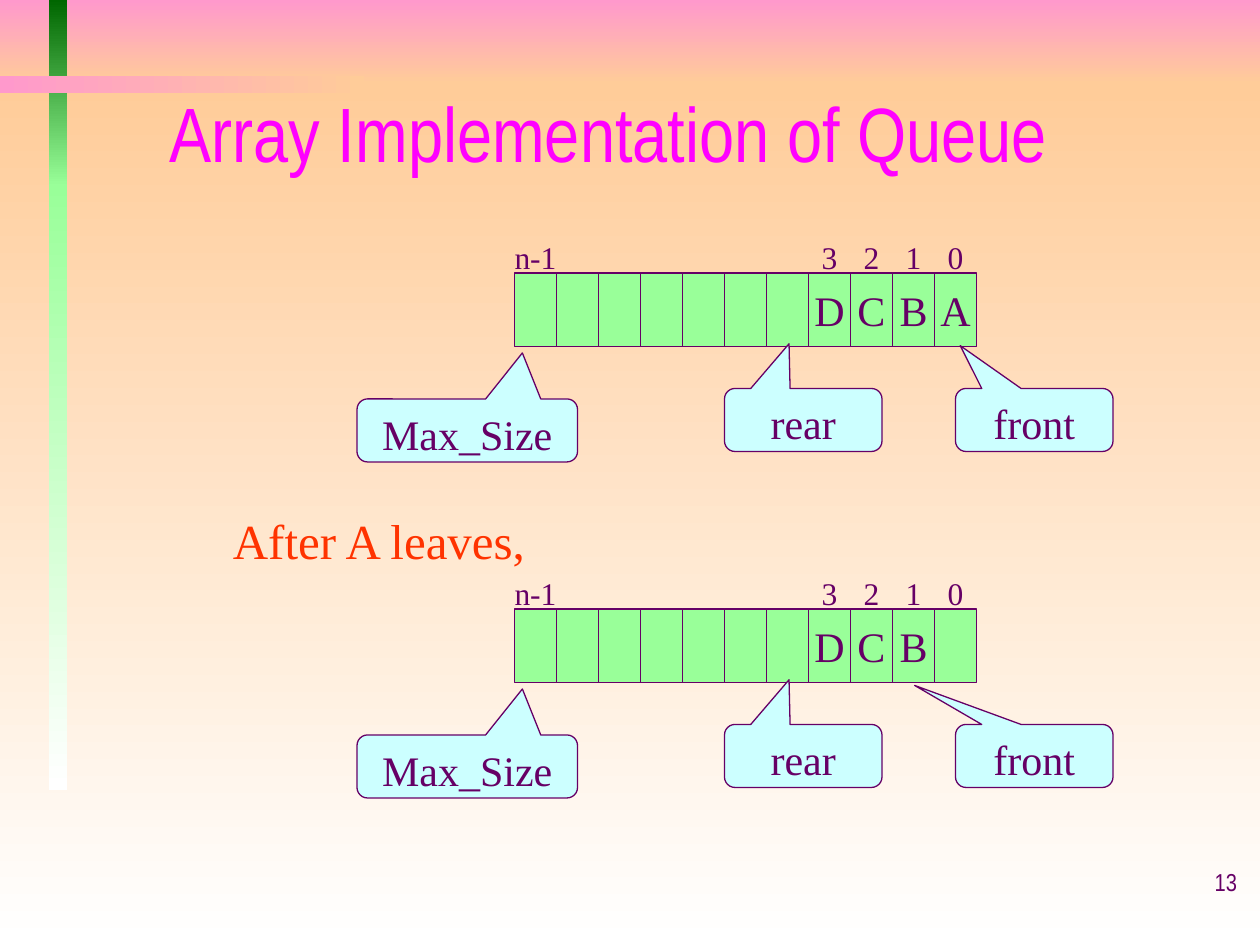
import pptx
import pptx.util
import pptx.dml.color
import pptx.enum.shapes
import pptx.enum.text

KIND = pptx.enum.shapes.MSO_SHAPE
ALIGN = pptx.enum.text.PP_ALIGN
ANCHOR = pptx.enum.text.MSO_ANCHOR

THEME = {
    "ink": "660066", "title": "FF00FF", "note": "FF3300",
    "cell": "99FF99", "call": "CCFFFF",
    "pink": "FF99CC", "peach": "FFCC99", "white": "FFFFFF", "green": "006600",
    "serif": "Times New Roman", "sans": "Arial Narrow",
    "huge": 44, "big": 28, "mid": 24, "small": 18, "tiny": 14, "line": 0.75,
}

# All places are in grid units: the slide is 120 columns by 90 rows.
COLS, ROWS = 120, 90
UNIT = pptx.util.Inches(10) / COLS

# box, first colour, last colour, angle
BANDS = [
    ((0, 0, 120, 8), "pink", "peach", 270),
    ((0, 8, 120, 82), "peach", "white", 270),
    ((4.67, 0, 1.7, 17.75), "green", "cell", 270),
    ((4.67, 17.5, 1.7, 57.75), "cell", "white", 270),
    ((0, 7.25, 34.67, 1.63), "pink", "peach", 0),
]
SLOTS = ["n-1", "", "", "", "", "", "", "3", "2", "1", "0"]
# top row, cell contents by slot, tip of the "front" callout
QUEUES = [
    (26, {"3": "D", "2": "C", "1": "B", "0": "A"}, (-0.47, -1.18)),
    (58, {"3": "D", "2": "C", "1": "B"}, (-0.76, -1.12)),
]
LEFT, WIDE, HIGH, HEAD = 49, 4, 7, 3
# text, left column, rows below the queue's top, width, tip
CALLS = [
    ("Max_Size", 34, 12, 21, (0.25, -1.23)),
    ("rear", 69, 11, 15, (-0.09, -1.21)),
    ("front", 91, 11, 15, None),
]


def tint(name):
    return pptx.dml.color.RGBColor.from_string(THEME[name])


def place(box):
    return [round(n * UNIT) for n in box]


def write(shape, text, size="mid", font="serif", color="ink",
          align=ALIGN.CENTER, anchor=ANCHOR.MIDDLE, wrap=False):
    frame = shape.text_frame
    frame.word_wrap = wrap
    frame.vertical_anchor = anchor
    para = frame.paragraphs[0]
    para.alignment = align
    run = para.add_run()
    run.text = text
    run.font.size = pptx.util.Pt(THEME[size])
    run.font.name = THEME[font]
    run.font.color.rgb = tint(color)


def label(slide, box, text, **form):
    write(slide.shapes.add_textbox(*place(box)), text, wrap=True, **form)


def bare(slide, box):
    """Add a rectangle with no shadow and no line."""
    shape = slide.shapes.add_shape(KIND.RECTANGLE, *place(box))
    shape.shadow.inherit = False
    shape.line.fill.background()
    return shape


def solid(slide, kind, box, color):
    shape = slide.shapes.add_shape(kind, *place(box))
    shape.shadow.inherit = False
    shape.fill.solid()
    shape.fill.fore_color.rgb = tint(color)
    shape.line.color.rgb = tint("ink")
    shape.line.width = pptx.util.Pt(THEME["line"])
    return shape


def band(slide, box, first, last, angle):
    shape = bare(slide, box)
    shape.fill.gradient()
    shape.fill.gradient_angle = angle
    for stop, name in zip(shape.fill.gradient_stops, (first, last)):
        stop.color.rgb = tint(name)


def queue(slide, top, items, front):
    for i, slot in enumerate(SLOTS):
        x = LEFT + i * WIDE
        cell = solid(slide, KIND.RECTANGLE, (x, top, WIDE, HIGH), "cell")
        if slot in items:
            write(cell, items[slot])
        if slot:
            head = bare(slide, (x, top - HEAD, WIDE, HEAD))
            head.fill.background()
            write(head, slot, size="small")
    for text, x, drop, width, tip in CALLS:
        call = solid(slide, KIND.ROUNDED_RECTANGULAR_CALLOUT,
                     (x, top + drop, width, 6), "call")
        call.adjustments[0], call.adjustments[1] = tip or front
        write(call, text, anchor=ANCHOR.TOP, wrap=True)


def main():
    deck = pptx.Presentation()
    deck.slide_width = round(COLS * UNIT)
    deck.slide_height = round(ROWS * UNIT)
    slide = deck.slides.add_slide(deck.slide_layouts[6])
    for item in BANDS:
        band(slide, *item)
    label(slide, (15, 5, 96, 15), "Array Implementation of Queue", size="huge",
          font="sans", color="title", align=ALIGN.LEFT)
    for item in QUEUES:
        queue(slide, *item)
    label(slide, (21, 48, 45, 6.8), "After A leaves,", size="big",
          color="note", align=ALIGN.LEFT, anchor=ANCHOR.TOP)
    label(slide, (94, 82, 25, 6), "13", size="tiny", font="sans",
          align=ALIGN.RIGHT, anchor=ANCHOR.TOP)
    deck.save("out.pptx")


if __name__ == "__main__":
    main()
